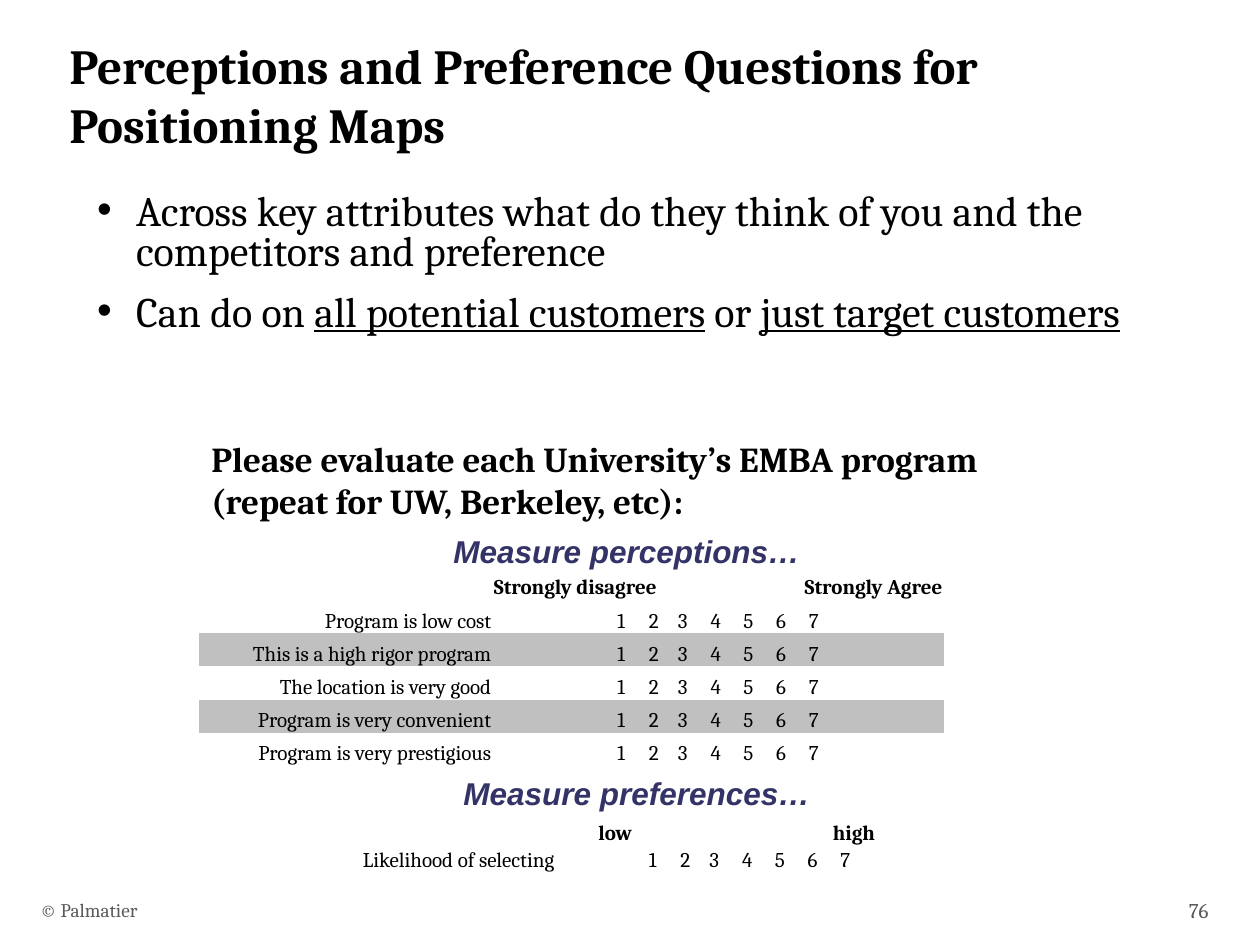
"""Build the slide on perception and preference questions for positioning maps."""
from dataclasses import dataclass
from typing import Any, NamedTuple

from pptx import Presentation
from pptx.dml.color import RGBColor
from pptx.enum.text import MSO_ANCHOR, MSO_AUTO_SIZE, PP_ALIGN
from pptx.oxml.ns import qn
from pptx.util import Inches, Pt
from lxml import etree

LEFT, RIGHT = PP_ALIGN.LEFT, PP_ALIGN.RIGHT
TOP, MIDDLE, BOTTOM = MSO_ANCHOR.TOP, MSO_ANCHOR.MIDDLE, MSO_ANCHOR.BOTTOM
NO_FIT = MSO_AUTO_SIZE.NONE
PLAIN_STYLE = "{2D5ABB26-0587-4C30-8999-92F81FD0307C}"
SCALE = "\t".join(str(point) for point in range(1, 8))
STOPS = (0.25, 0.48, 0.74, 1.0, 1.26, 1.52)


@dataclass(frozen=True)
class Theme:
    """Colours, fonts and type sizes of the slide."""
    serif: str = "Cambria"
    sans: str = "Arial"
    ink: str = "000000"
    navy: str = "333367"
    gray: str = "595959"
    band: str = "C0C0C0"
    title: float = 28
    body: float = 24
    prompt: float = 20
    head: float = 18
    small: float = 12
    foot: float = 11


THEME = Theme()


class Box(NamedTuple):
    """Place of an object in inches."""
    left: float
    top: float
    width: float
    height: float

    def size(self) -> list:
        """Return the four lengths."""
        return [Inches(length) for length in self]


class Label(NamedTuple):
    """A text box with its format."""
    text: str
    box: Box
    font: dict
    frame: dict
    align: Any = LEFT


class Entry(NamedTuple):
    """The text of one table cell."""
    text: str = ""
    align: Any = LEFT
    inset: float = 0.01
    bold: bool = False


class Grid(NamedTuple):
    """A rating table whose scale spans the last two columns."""
    box: Box
    cols: tuple
    ends: tuple
    asks: tuple
    inset: float


def style(size: float, name: str = THEME.serif, color: str = THEME.ink, **more: Any) -> dict:
    """Return the font values of a run."""
    return {"size": Pt(size), "name": name, "color": color, **more}


def apply(item: Any, values: dict) -> None:
    """Set each value on the item."""
    for key, value in values.items():
        setattr(item, key, value)


def write(para: Any, text: str, font: dict) -> None:
    """Add a run in the given font."""
    run = para.add_run()
    run.text = text
    values = dict(font)
    run.font.color.rgb = RGBColor.from_string(values.pop("color"))
    apply(run.font, values)


def place(shape: Any, box: Box) -> None:
    """Move a placeholder to its box."""
    apply(shape, dict(zip(("left", "top", "width", "height"), box.size())))


def draw_label(slide: Any, label: Label) -> None:
    """Draw one text box."""
    frame = slide.shapes.add_textbox(*label.box.size()).text_frame
    apply(frame, label.frame)
    para = frame.paragraphs[0]
    para.alignment = label.align
    write(para, label.text, label.font)


def fill_cell(cell: Any, entry: Entry) -> None:
    """Write one table cell."""
    apply(cell, {"vertical_anchor": BOTTOM, "margin_left": Inches(entry.inset),
                 "margin_right": Inches(0.01), "margin_top": Inches(0.01), "margin_bottom": 0})
    para = cell.text_frame.paragraphs[0]
    para.alignment = entry.align
    if entry.text == SCALE:
        tabs = etree.SubElement(para._p.get_or_add_pPr(), qn("a:tabLst"))
        for stop in STOPS:
            etree.SubElement(tabs, qn("a:tab"), pos=str(Inches(stop)), algn="l")
    if entry.text:
        write(para, entry.text, style(THEME.small, bold=entry.bold))
    else:
        etree.SubElement(para._p, qn("a:endParaRPr"), sz=str(round(THEME.small * 100)))


def draw_grid(slide: Any, grid: Grid) -> None:
    """Draw one rating table."""
    count = len(grid.asks) + 1
    shape = slide.shapes.add_table(count, len(grid.cols), *grid.box.size())
    for node in shape.element.iter(qn("a:tableStyleId")):
        node.text = PLAIN_STYLE
    table = shape.table
    apply(table, {"first_row": False, "horz_banding": False})
    for col, width in zip(table.columns, grid.cols):
        col.width = Inches(width)
    rows = [(Entry(), *grid.ends)]
    rows += [(Entry(ask, RIGHT), Entry(SCALE, inset=grid.inset), Entry()) for ask in grid.asks]
    for num, row in enumerate(rows):
        table.rows[num].height = Inches(grid.box.height / count)
        for col, entry in enumerate(row):
            cell = table.cell(num, col)
            fill_cell(cell, entry)
            if num and num % 2 == 0:
                cell.fill.solid()
                cell.fill.fore_color.rgb = RGBColor.from_string(THEME.band)
            else:
                cell.fill.background()
        if num:
            table.cell(num, 1).merge(table.cell(num, 2))


def draw_title(shape: Any) -> None:
    """Fill the title placeholder."""
    place(shape, Box(0.45, 0.23, 9.25, 1.25))
    frame = shape.text_frame
    apply(frame, {"vertical_anchor": TOP, "auto_size": NO_FIT})
    para = frame.paragraphs[0]
    para.alignment = LEFT
    write(para, "Perceptions and Preference Questions for Positioning Maps",
          style(THEME.title, bold=True))


def draw_body(shape: Any, points: tuple) -> None:
    """Fill the body placeholder with points of plain and underlined parts."""
    place(shape, Box(0.67, 1.49, 8.67, 2.09))
    frame = shape.text_frame
    frame.auto_size = NO_FIT
    for num, parts in enumerate(points):
        para = frame.add_paragraph() if num else frame.paragraphs[0]
        props = para._p.get_or_add_pPr()
        props.set("marL", str(Inches(0.31)))
        props.set("indent", str(Inches(-0.31)))
        apply(para, {"line_spacing": 0.8, "space_before": Pt(11.5 if num else 0)})
        for part, text in enumerate(parts):
            write(para, text, style(THEME.body, underline=part % 2 == 1))


POINTS = (
    ("Across key attributes what do they think of you and the competitors and preference",),
    ("Can do on ", "all potential customers", " or ", "just target customers"),
)
HEAD = style(THEME.head, THEME.sans, THEME.navy, bold=True, italic=True)
LABELS = (
    Label("Measure perceptions…", Box(3.5, 4.17, 2.95, 0.4), HEAD, {"word_wrap": False}),
    Label("Measure preferences…", Box(3.58, 6.09, 2.98, 0.4), HEAD, {"word_wrap": False}),
    Label("Please evaluate each University’s EMBA program (repeat for UW, Berkeley, etc):",
          Box(1.58, 3.42, 7, 0.77), style(THEME.prompt, bold=True), {"word_wrap": True}),
    Label("© Palmatier", Box(0.22, 7.02, 6.7, 0.4), style(THEME.foot, color=THEME.gray),
          {"word_wrap": True, "vertical_anchor": MIDDLE}),
    Label("76", Box(9.08, 7.02, 0.61, 0.4), style(THEME.small, color=THEME.gray),
          {"word_wrap": True, "vertical_anchor": MIDDLE}, RIGHT),
)
GRIDS = (
    Grid(Box(1.58, 4.5, 5.92, 1.58), (2.33, 1.7, 1.88),
         (Entry("Strongly disagree", bold=True), Entry("Strongly Agree", RIGHT, bold=True)),
         ("Program is low cost", "This is a high rigor program", "The location is very good",
          "Program is very convenient", "Program is very prestigious"), 0.99),
    Grid(Box(2.33, 6.5, 5.17, 0.42), (2.08, 1.34, 1.74),
         (Entry("low", inset=0.34, bold=True), Entry("high", inset=0.86, bold=True)),
         ("Likelihood of selecting",), 0.74),
)


def main() -> None:
    """Build and save the deck."""
    deck = Presentation()
    apply(deck, {"slide_width": Inches(10), "slide_height": Inches(7.5)})
    slide = deck.slides.add_slide(deck.slide_layouts[1])
    draw_title(slide.shapes.title)
    draw_body(slide.placeholders[1], POINTS)
    for grid in GRIDS:
        draw_grid(slide, grid)
    for label in LABELS:
        draw_label(slide, label)
    deck.save("out.pptx")


if __name__ == "__main__":
    main()
